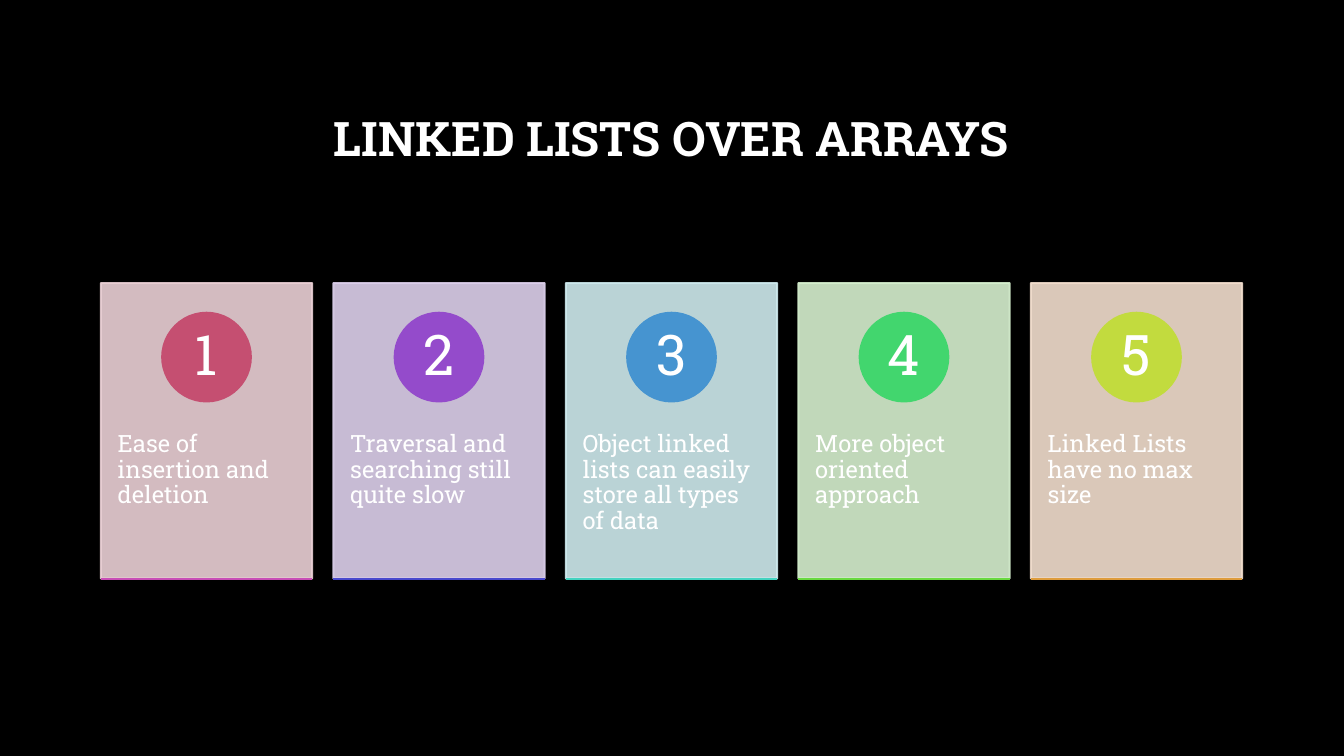
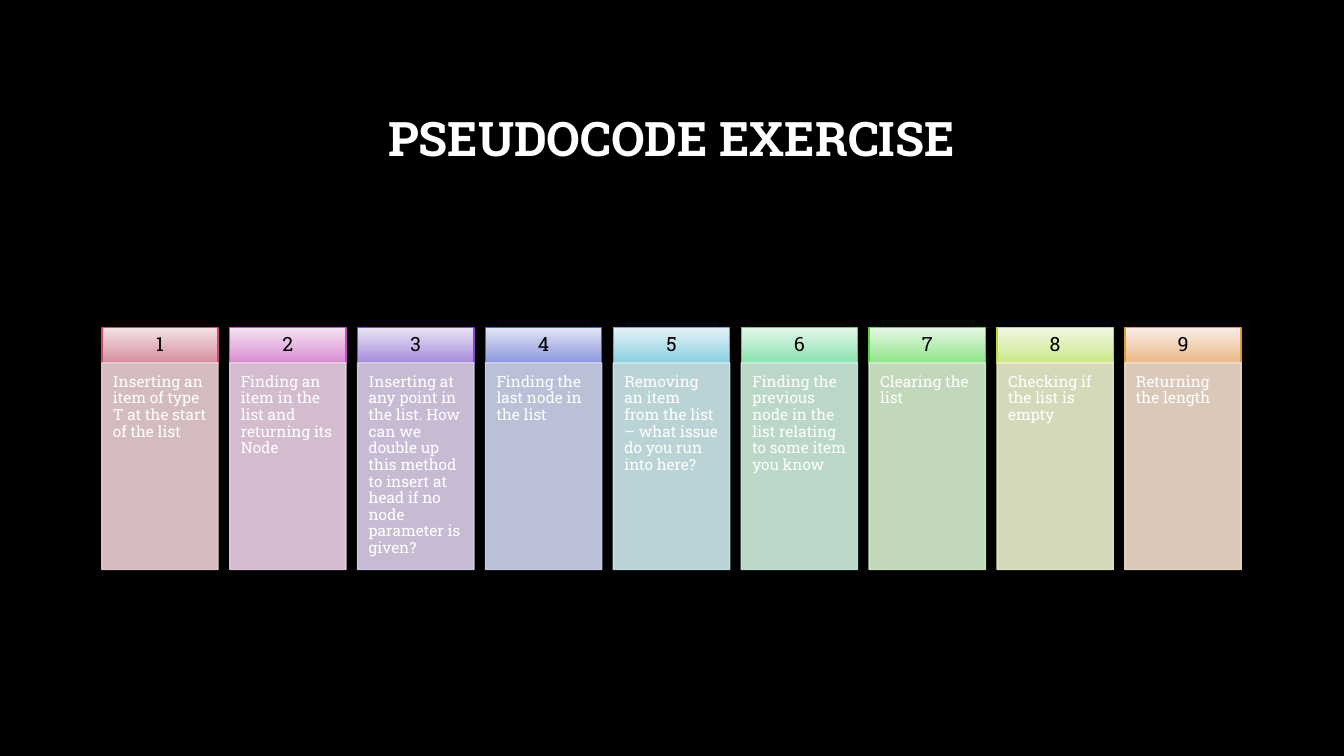
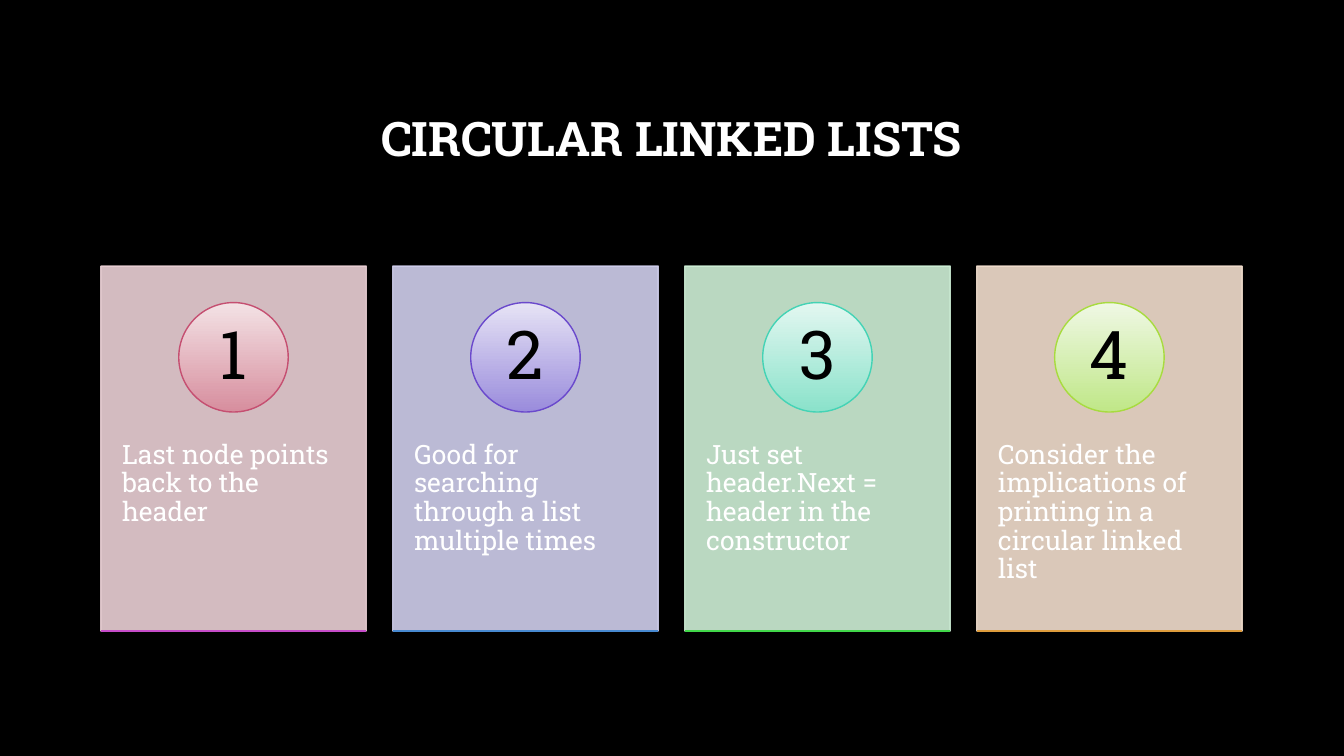
from collections import namedtuple
from dataclasses import dataclass

from lxml.etree import SubElement
from pptx import Presentation
from pptx.dml.color import RGBColor
from pptx.enum.shapes import MSO_CONNECTOR, MSO_SHAPE
from pptx.enum.text import MSO_ANCHOR, PP_ALIGN
from pptx.oxml.ns import qn
from pptx.util import Inches, Pt


@dataclass(frozen=True)
class Theme:
    font: str = "Roboto Slab"
    background: str = "000000"
    light: str = "FFFFFF"
    dark: str = "000000"
    title_size: int = 34
    line_spacing: float = 0.9
    card_opacity: int = 90


@dataclass(frozen=True)
class CardStyle:
    text_size: int
    number_size: int
    number_color: str
    line_width: float


class Box(namedtuple("Box", "left top width height")):
    def share(self, left, top, width, height):
        return Box(self.left + left * self.width, self.top + top * self.height,
                   width * self.width, height * self.height)

    def columns(self, count, gap_share=0.1):
        width = self.width / (count + gap_share * (count - 1))
        pitch = width * (1 + gap_share)
        return [Box(self.left + index * pitch, self.top, width, self.height)
                for index in range(count)]

    def lengths(self):
        return [Inches(length) for length in self]


Tint = namedtuple("Tint", "edge light dark", defaults=(None, None))
Card = namedtuple("Card", "text fill badge rule", defaults=(None,))

THEME = Theme()
PAGE = Box(0, 0, 13.33, 7.5)
TITLE_BOX = Box(1, 0.67, 11.32, 1.45)
REASONS_BOX = Box(1, 2.81, 11.32, 2.93)
TASKS_BOX = Box(1.01, 3.25, 11.3, 2.4)
CIRCULAR_BOX = Box(1, 2.64, 11.32, 3.62)

REASONS_STYLE = CardStyle(17, 40, THEME.light, 1.5)
TASKS_STYLE = CardStyle(11, 14, THEME.dark, 1)
CIRCULAR_STYLE = CardStyle(19, 48, THEME.dark, 1)

REASONS = [
    Card("Ease of insertion and deletion", "EAD0D5", Tint("C54F71"), "C84DB6"),
    Card("Traversal and searching still quite slow", "DDD0EC", Tint("944BCB"), "4949CD"),
    Card("Object linked lists can easily store all types of data", "CFEAEE",
         Tint("4694D0"), "44D3C0"),
    Card("More object oriented approach", "D6F0CF", Tint("42D66E"), "69D940"),
    Card("Linked Lists have no max size", "F2DECE", Tint("C2DB3E"), "DE9C3C"),
]
TASKS = [
    Card("Inserting an item of type T at the start of the list", "EAD0D5",
         Tint("C54F71", "F3E2E5", "D78E9E")),
    Card("Finding an item in the list and returning its Node", "EBD0E7",
         Tint("C84DBF", "F4E2F2", "D98DD2")),
    Card("Inserting at any point in the list. How can we double up this method "
         "to insert at head if no node parameter is given?", "DDD0EC",
         Tint("824ACB", "E8E3F5", "A78CDB")),
    Card("Finding the last node in the list", "CFD5ED",
         Tint("4864CF", "E3E5F5", "8B97DE")),
    Card("Removing an item from the list – what issue do you run into here?", "CFEAEE",
         Tint("45BCD2", "E3F2F6", "8AD0E0")),
    Card("Finding the previous node in the list relating to some item you know", "CFEFDE",
         Tint("43D58E", "E4F7EB", "89E3AF")),
    Card("Clearing the list", "D6F0CF", Tint("54D841", "E5F8E4", "8FE589")),
    Card("Checking if the list is empty", "EDF1CE", Tint("B7DB3E", "F2F8E4", "CBE788")),
    Card("Returning the length", "F2DECE", Tint("DE9C3C", "F9EEE5", "EAB887")),
]
CIRCULAR = [
    Card("Last node points back to the header", "EAD0D5",
         Tint("C54F71", "F3E2E5", "D78E9E"), "C64CC9"),
    Card("Good for searching through a list multiple times", "D0CFED",
         Tint("6A49CC", "E6E3F5", "9A8CDC"), "4789D0"),
    Card("Just set header.Next = header in the constructor", "CFF0D7",
         Tint("44D3B5", "E3F7F1", "8AE2CA"), "41D74A"),
    Card("Consider the implications of printing in a circular linked list", "F2DECE",
         Tint("A8DB3F", "EFF8E4", "C0E788"), "DE9C3C"),
]


def color(code):
    return RGBColor.from_string(code)


def write(shape, text, size, text_color, insets=(0.1, 0.05), centered=False, bold=False):
    frame = shape.text_frame
    frame.word_wrap = True
    frame.margin_left = frame.margin_right = Inches(insets[0])
    frame.margin_top = frame.margin_bottom = Inches(insets[1])
    frame.vertical_anchor = MSO_ANCHOR.MIDDLE if centered else MSO_ANCHOR.TOP
    para = frame.paragraphs[0]
    para.alignment = PP_ALIGN.CENTER if centered else PP_ALIGN.LEFT
    para.line_spacing = THEME.line_spacing
    span = para.add_run()
    span.text = text
    span.font.name = THEME.font
    span.font.size = Pt(size)
    span.font.bold = bold
    span.font.color.rgb = color(text_color)


def add_panel(page, box, fill, line_width):
    panel = page.shapes.add_shape(MSO_SHAPE.RECTANGLE, *box.lengths())
    panel.shadow.inherit = False
    panel.fill.solid()
    panel.fill.fore_color.rgb = color(fill)
    panel.line.color.rgb = color(fill)
    panel.line.width = Pt(line_width)
    for tone in panel.element.spPr.iter(qn("a:srgbClr")):
        SubElement(tone, qn("a:alpha")).set("val", str(THEME.card_opacity * 1000))
    return panel


def add_badge(page, kind, box, number, tint, style, insets):
    badge = page.shapes.add_shape(kind, *box.lengths())
    badge.shadow.inherit = False
    if tint.light:
        badge.fill.gradient()
        badge.fill.gradient_angle = 270
        for stop, position, code in zip(badge.fill.gradient_stops, (0, 1), tint[1:]):
            stop.position = position
            stop.color.rgb = color(code)
    else:
        badge.fill.solid()
        badge.fill.fore_color.rgb = color(tint.edge)
    badge.line.color.rgb = color(tint.edge)
    badge.line.width = Pt(style.line_width)
    write(badge, str(number), style.number_size, style.number_color, insets, centered=True)


def add_rule(page, box, code, line_width):
    bottom = box.top + box.height
    rule = page.shapes.add_connector(
        MSO_CONNECTOR.STRAIGHT, Inches(box.left), Inches(bottom),
        Inches(box.left + box.width), Inches(bottom))
    rule.line.color.rgb = color(code)
    rule.line.width = Pt(line_width)
    SubElement(rule.element.spPr, qn("a:effectLst"))


def add_circle_card(page, box, number, card, style):
    add_panel(page, box, card.fill, style.line_width)
    body = page.shapes.add_textbox(*box.share(0, 0.38, 1, 0.6).lengths())
    write(body, card.text, style.text_size, THEME.light, (0.08 * box.width, 0.36))
    diameter = 0.3 * box.height
    circle = Box(box.left + (box.width - diameter) / 2, box.top + 0.1 * box.height,
                 diameter, diameter)
    add_badge(page, MSO_SHAPE.OVAL, circle, number, card.badge, style, (0.07, 0.01))
    add_rule(page, box, card.rule, style.line_width)


def add_header_card(page, box, number, card, style):
    header_share = 0.35 / box.height
    add_badge(page, MSO_SHAPE.RECTANGLE, box.share(0, 0, 1, header_share), number,
              card.badge, style, (0.09, 0.09))
    panel = add_panel(page, box.share(0, header_share, 1, 1 - header_share),
                      card.fill, style.line_width)
    write(panel, card.text, style.text_size, THEME.light, (0.11, 0.11))


def add_card_slide(deck, title, box, cards, style, add_card):
    page = deck.slides.add_slide(deck.slide_layouts.get_by_name("Title Only"))
    write(page.shapes.title, title, THEME.title_size, THEME.light, centered=True, bold=True)
    for number, (column, card) in enumerate(zip(box.columns(len(cards)), cards), 1):
        add_card(page, column, number, card, style)


def prepare_deck():
    deck = Presentation()
    deck.slide_width, deck.slide_height = Inches(PAGE.width), Inches(PAGE.height)
    background = deck.slide_master.background.fill
    background.solid()
    background.fore_color.rgb = color(THEME.background)
    title = deck.slide_layouts.get_by_name("Title Only").placeholders[0]
    title.left, title.top, title.width, title.height = TITLE_BOX.lengths()
    return deck


def main():
    deck = prepare_deck()
    add_card_slide(deck, "LINKED LISTS OVER ARRAYS", REASONS_BOX, REASONS,
                   REASONS_STYLE, add_circle_card)
    add_card_slide(deck, "PSEUDOCODE EXERCISE", TASKS_BOX, TASKS,
                   TASKS_STYLE, add_header_card)
    add_card_slide(deck, "CIRCULAR LINKED LISTS", CIRCULAR_BOX, CIRCULAR,
                   CIRCULAR_STYLE, add_circle_card)
    deck.save("out.pptx")


if __name__ == "__main__":
    main()
